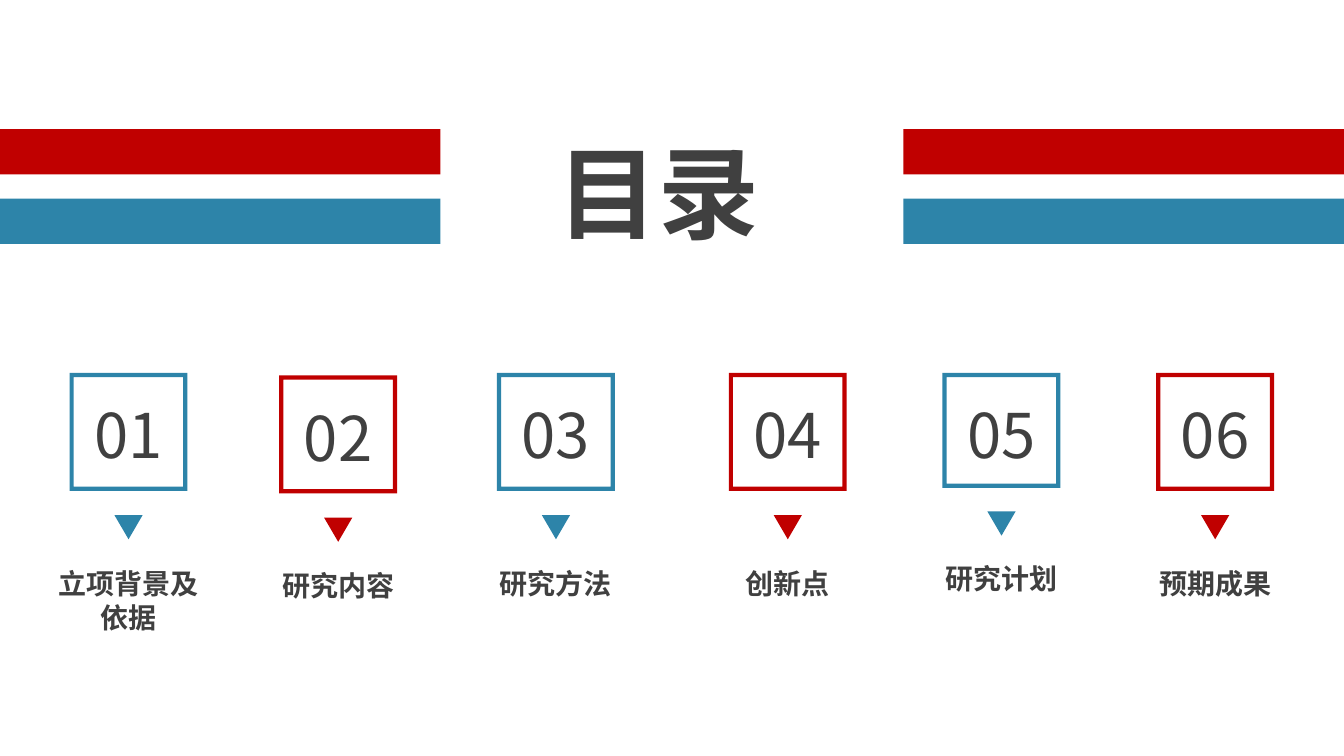
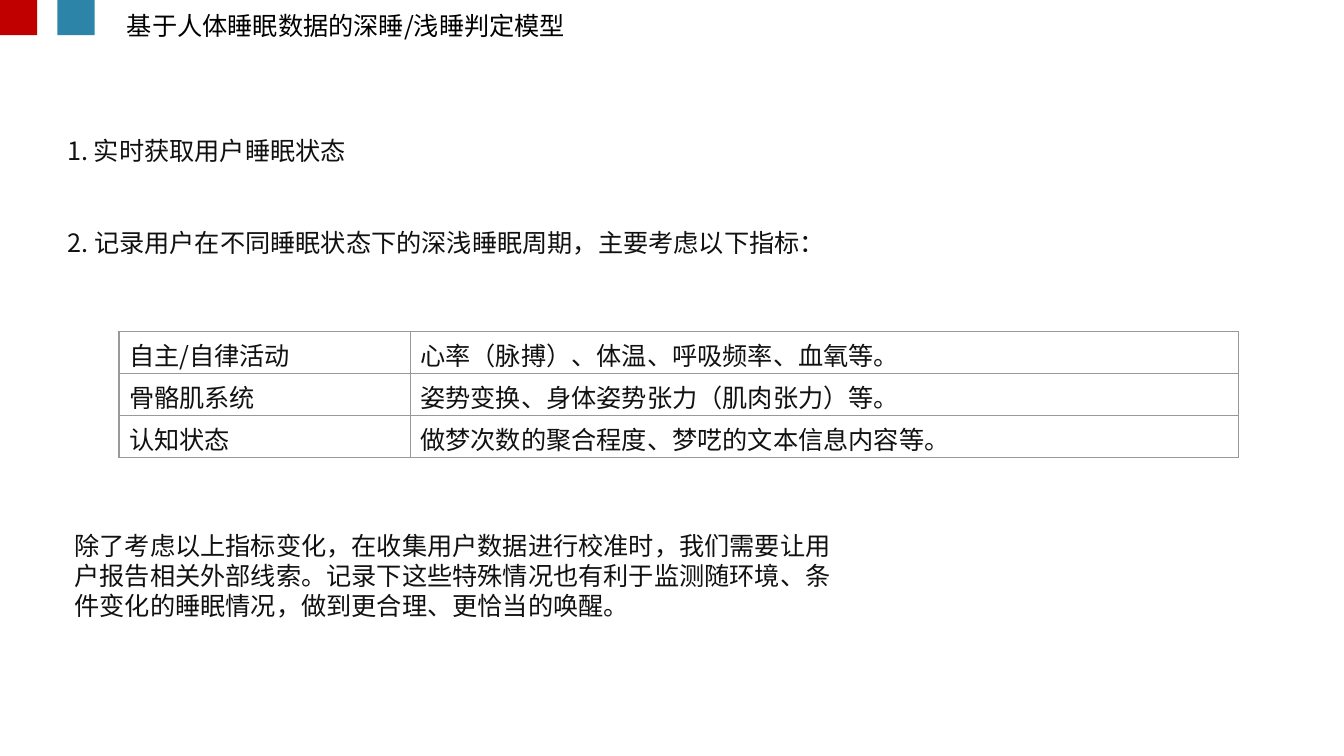
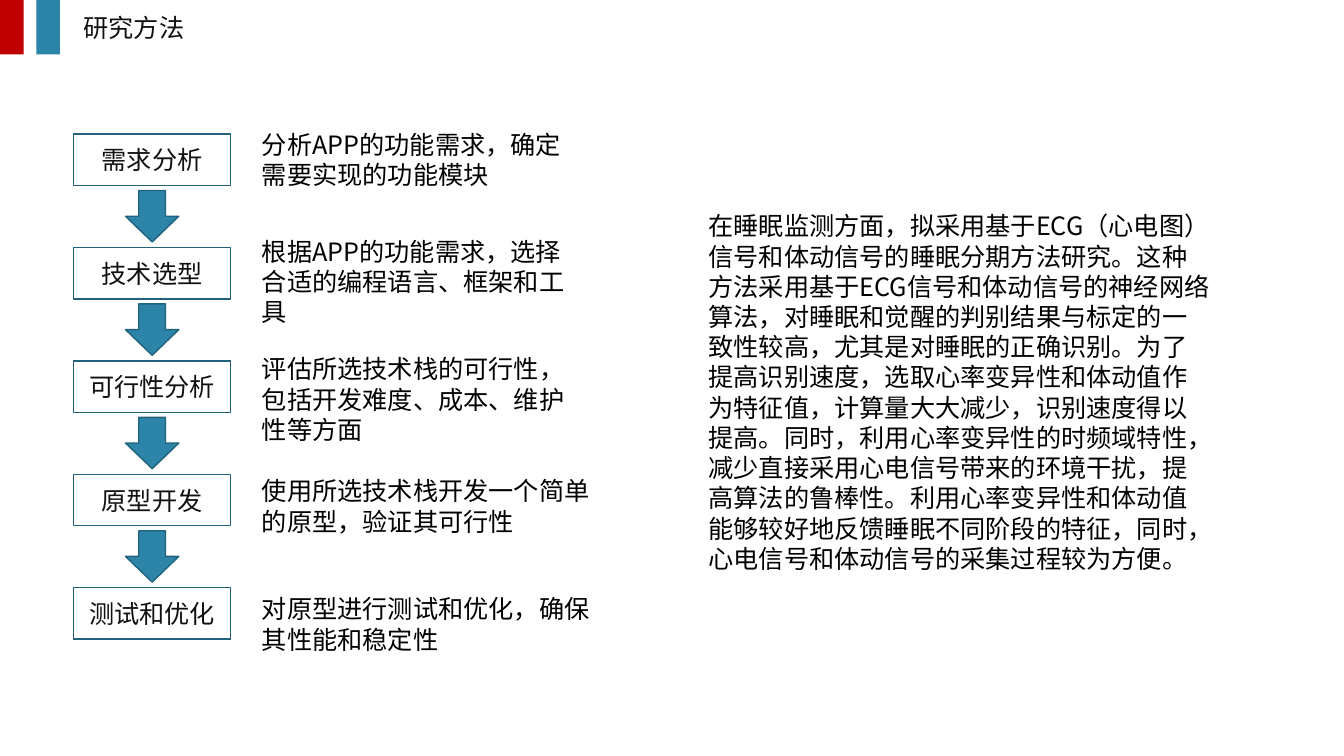
from dataclasses import dataclass
from typing import Any, NamedTuple

from lxml import etree
from pptx import Presentation
from pptx.dml.color import RGBColor
from pptx.enum.shapes import MSO_SHAPE
from pptx.enum.text import MSO_ANCHOR, MSO_AUTO_SIZE, PP_ALIGN
from pptx.oxml.ns import qn
from pptx.util import Inches, Pt

# Shared style
RED = RGBColor(0xC0, 0x00, 0x00)
BLUE = RGBColor(0x2D, 0x84, 0xA9)
DARK_BLUE = RGBColor(0x21, 0x62, 0x7D)
GREY = RGBColor(0x40, 0x40, 0x40)
INK = RGBColor(0x11, 0x11, 0x11)
BLACK = RGBColor(0x00, 0x00, 0x00)
WHITE = RGBColor(0xFF, 0xFF, 0xFF)
TABLE_RULE = "999999"
FONT = "Noto Sans CJK SC"
BODY_SIZE = 18

RECT, FRAME = MSO_SHAPE.RECTANGLE, MSO_SHAPE.FRAME
TRIANGLE, DOWN_ARROW = MSO_SHAPE.ISOSCELES_TRIANGLE, MSO_SHAPE.DOWN_ARROW
LEFT, CENTER = PP_ALIGN.LEFT, PP_ALIGN.CENTER
TOP, MIDDLE = MSO_ANCHOR.TOP, MSO_ANCHOR.MIDDLE
GROW = MSO_AUTO_SIZE.SHAPE_TO_FIT_TEXT

# The slide is a grid of square cells, a tenth of an inch each
CELL = Inches(0.1)
COLUMNS, ROWS = 133.33, 75


class Box(NamedTuple):
    """Left, top, width and height in grid cells."""
    left: float
    top: float
    width: float
    height: float

    def emu(self) -> list[int]:
        return [round(cells * CELL) for cells in self]


@dataclass(frozen=True)
class Header:
    title: str
    title_box: Box
    mark_width: float
    mark_height: float
    second_mark: float
    color: RGBColor


@dataclass(frozen=True)
class Chapter:
    label: str
    left: float
    color: RGBColor
    top: float = 37
    height: float = 11.7
    label_width: float = 20.4


@dataclass(frozen=True)
class Step:
    name: str
    detail: str
    detail_top: float
    detail_width: float
    detail_height: float


CHAPTERS = [
    Chapter("立项背景及依据", 6.9, BLUE, label_width=18.3),
    Chapter("研究内容", 27.7, RED, top=37.25),
    Chapter("研究方法", 49.3, BLUE),
    Chapter("创新点", 72.3, RED),
    Chapter("研究计划", 93.5, BLUE, height=11.4),
    Chapter("预期成果", 114.7, RED),
]

MODEL_HEADER = Header("基于人体睡眠数据的深睡/浅睡判定模型",
                      Box(11.6, 0.5, 59.5, 4), 3.7, 3.5, 5.7, BLACK)
MODEL_TEXTS = [
    ("1. 实时获取用户睡眠状态", Box(5.7, 12.9, 60, 4)),
    ("2. 记录用户在不同睡眠状态下的深浅睡眠周期，主要考虑以下指标：",
     Box(5.7, 22.1, 113.8, 4)),
    ("除了考虑以上指标变化，在收集用户数据进行校准时，我们需要让用户报告相关外部线索。"
     "记录下这些特殊情况也有利于监测随环境、条件变化的睡眠情况，做到更合理、更恰当的唤醒。",
     Box(6.4, 52.1, 78.1, 10)),
]
INDICATORS = [
    ("自主/自律活动", "心率（脉搏）、体温、呼吸频率、血氧等。"),
    ("骨骼肌系统", "姿势变换、身体姿势张力（肌肉张力）等。"),
    ("认知状态", "做梦次数的聚合程度、梦呓的文本信息内容等。"),
]
INDICATOR_COLUMNS = (28.9, 82.2)
INDICATOR_ROW = 4.17

METHOD_HEADER = Header("研究方法", Box(7.3, 0.7, 56.5, 4), 2.35, 5.4, 3.6, INK)
STEPS = [
    Step("需求分析", "分析APP的功能需求，确定需要实现的功能模块", 12.3, 34, 7.1),
    Step("技术选型", "根据APP的功能需求，选择合适的编程语言、框架和工具", 22.9, 34, 10.1),
    Step("可行性分析", "评估所选技术栈的可行性，包括开发难度、成本、维护性等方面", 34.6, 34, 10.1),
    Step("原型开发", "使用所选技术栈开发一个简单的原型，验证其可行性", 46.7, 34.8, 7.1),
    Step("测试和优化", "对原型进行测试和优化，确保其性能和稳定性", 58.4, 34.8, 7.1),
]
STEP_BOX = Box(7.3, 13.3, 15.6, 5.1)
STEP_PITCH = 11.25
ARROW_WIDTH, ARROW_DROP = 5.3, 5.6
METHOD_SUMMARY = (
    "在睡眠监测方面，拟采用基于ECG（心电图）信号和体动信号的睡眠分期方法研究。"
    "这种方法采用基于ECG信号和体动信号的神经网络算法，对睡眠和觉醒的判别结果与标定的一致性较高，"
    "尤其是对睡眠的正确识别。为了提高识别速度，选取心率变异性和体动值作为特征值，"
    "计算量大大减少，识别速度得以提高。同时，利用心率变异性的时频域特性，"
    "减少直接采用心电信号带来的环境干扰，提高算法的鲁棒性。"
    "利用心率变异性和体动值能够较好地反馈睡眠不同阶段的特征，"
    "同时，心电信号和体动信号的采集过程较为方便。"
)


# Drawing helpers
def apply(target: Any, formats: dict[str, Any]) -> None:
    for attribute, value in formats.items():
        setattr(target, attribute, value)


def add_run(paragraph: Any, text: str, size: float, color: RGBColor,
            bold: bool = False) -> None:
    run = paragraph.add_run()
    run.text = text
    apply(run.font, {"size": Pt(size), "bold": bold, "name": FONT})
    run.font.color.rgb = color
    # East Asian glyphs take their own typeface entry
    etree.SubElement(run.font._element, qn("a:ea"), typeface=FONT)


def add_text(slide: Any, box: Box, text: str, size: float = BODY_SIZE,
             color: RGBColor = INK, bold: bool = False,
             align: Any = LEFT, wrap: bool = True) -> Any:
    frame = slide.shapes.add_textbox(*box.emu()).text_frame
    apply(frame, {"word_wrap": wrap, "auto_size": GROW, "vertical_anchor": TOP})
    paragraph = frame.paragraphs[0]
    paragraph.alignment = align
    add_run(paragraph, text, size, color, bold)
    return paragraph


def add_block(slide: Any, preset: Any, box: Box, fill: RGBColor,
              line: RGBColor | None = None) -> Any:
    block = slide.shapes.add_shape(preset, *box.emu())
    block.shadow.inherit = False
    block.fill.solid()
    block.fill.fore_color.rgb = fill
    if line is None:
        block.line.fill.background()
    else:
        block.line.color.rgb = line
        block.line.width = Pt(1)
    return block


def add_header(slide: Any, header: Header) -> None:
    for left, color in ((0, RED), (header.second_mark, BLUE)):
        add_block(slide, RECT, Box(left, 0, header.mark_width, header.mark_height), color)
    add_text(slide, header.title_box, header.title, color=header.color)


def set_borders(cell: Any) -> None:
    properties = cell._tc.get_or_add_tcPr()
    for index, side in enumerate(("lnL", "lnR", "lnT", "lnB")):
        line = etree.Element(qn(f"a:{side}"), w=str(Pt(1)))
        fill = etree.SubElement(line, qn("a:solidFill"))
        etree.SubElement(fill, qn("a:srgbClr"), val=TABLE_RULE)
        properties.insert(index, line)


# Contents slide
def add_chapter(slide: Any, number: int, chapter: Chapter) -> None:
    side = 11.7
    scale = chapter.height / side
    center = chapter.left + side / 2

    def row(offset: float) -> float:
        return chapter.top + offset * scale

    add_text(slide, Box(center - chapter.label_width / 2, row(18.7), chapter.label_width, 4.3),
             chapter.label, 20, GREY, bold=True, align=CENTER)
    frame = add_block(slide, FRAME, Box(chapter.left, chapter.top, side, chapter.height),
                      chapter.color)
    frame.adjustments[0] = 0.036
    pointer = add_block(slide, TRIANGLE, Box(center - 1.4, row(14.1), 2.8, 2.4), chapter.color)
    pointer.rotation = 180
    add_text(slide, Box(chapter.left, row(1.9), side, 8.4), f"{number:02d}", 44, GREY,
             align=CENTER)


def build_contents(slide: Any) -> None:
    band_width, band_height = 43.7, 4.5
    for left in (0, COLUMNS - band_width):
        for top, color in ((12.8, RED), (19.7, BLUE)):
            add_block(slide, RECT, Box(left, top, band_width, band_height), color)
    heading = add_text(slide, Box(53.9, 10.3, 25.6, 15.7), "目录", 72, GREY, bold=True,
                       align=CENTER, wrap=False)
    add_run(heading, " ", 88, GREY, bold=True)
    for number, chapter in enumerate(CHAPTERS, start=1):
        add_chapter(slide, number, chapter)


# Sleep model slide
def build_model(slide: Any) -> None:
    add_header(slide, MODEL_HEADER)
    box = Box(11.8, 32.9, sum(INDICATOR_COLUMNS), INDICATOR_ROW * len(INDICATORS))
    table = slide.shapes.add_table(len(INDICATORS), len(INDICATOR_COLUMNS), *box.emu()).table
    apply(table, {"first_row": False, "horz_banding": False})
    for column, width in zip(table.columns, INDICATOR_COLUMNS):
        column.width = round(width * CELL)
    for row, texts in zip(table.rows, INDICATORS):
        row.height = round(INDICATOR_ROW * CELL)
        for cell, text in zip(row.cells, texts):
            add_run(cell.text_frame.paragraphs[0], text, BODY_SIZE, INK)
            cell.fill.solid()
            cell.fill.fore_color.rgb = WHITE
            set_borders(cell)
    for text, text_box in MODEL_TEXTS:
        add_text(slide, text_box, text)


# Research method slide
def build_method(slide: Any) -> None:
    add_header(slide, METHOD_HEADER)
    arrow_left = STEP_BOX.left + (STEP_BOX.width - ARROW_WIDTH) / 2
    for index, step in enumerate(STEPS):
        top = STEP_BOX.top + index * STEP_PITCH
        block = add_block(slide, RECT, STEP_BOX._replace(top=top), WHITE, DARK_BLUE)
        block.text_frame.vertical_anchor = MIDDLE
        name = block.text_frame.paragraphs[0]
        name.alignment = CENTER
        add_run(name, step.name, BODY_SIZE, INK)
        add_text(slide, Box(25, step.detail_top, step.detail_width, step.detail_height),
                 step.detail, color=BLACK)
        if index < len(STEPS) - 1:
            add_block(slide, DOWN_ARROW, Box(arrow_left, top + ARROW_DROP, ARROW_WIDTH, 5.1),
                      BLUE, DARK_BLUE)
    add_text(slide, Box(69.3, 20.4, 51.8, 40.4), METHOD_SUMMARY, color=BLACK)


def main() -> None:
    deck = Presentation()
    deck.slide_width, deck.slide_height = round(COLUMNS * CELL), ROWS * CELL
    blank = deck.slide_layouts[6]
    for build in (build_contents, build_model, build_method):
        build(deck.slides.add_slide(blank))
    deck.save("out.pptx")


if __name__ == "__main__":
    main()
